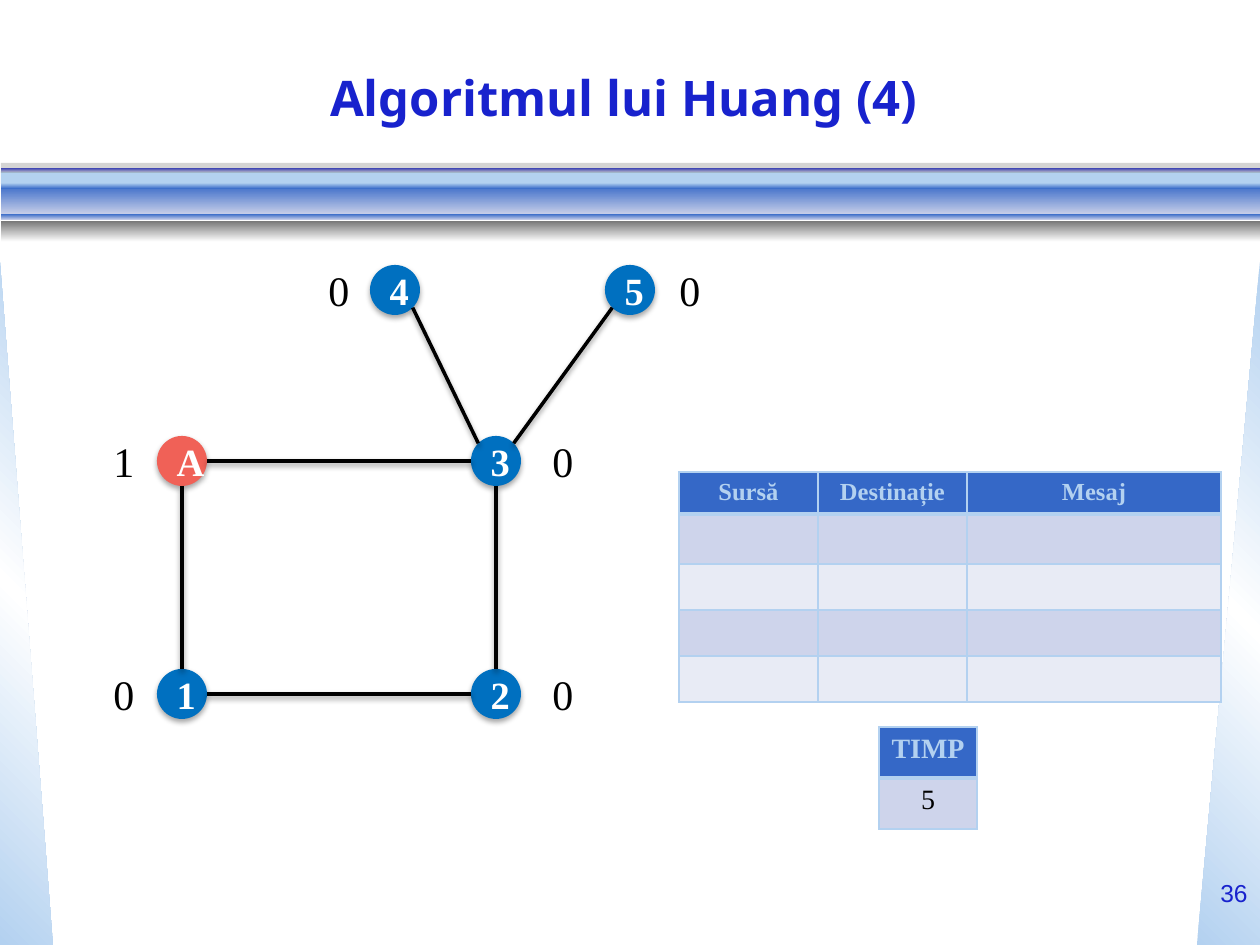
from copy import deepcopy
from math import hypot

from lxml import etree
from pptx import Presentation
from pptx import util as u
from pptx.dml.color import RGBColor
from pptx.enum import shapes, text
from pptx.oxml.ns import qn

PX = u.Inches(1) / 126
SERIF = "Times New Roman"
BLUE, PALE, NAVY, MIST = "3568C7", "B3D1F0", "1822CD", "CAD0E9"
BANDS = ["CED4EB", "E8EBF5"]
RADIUS = 25

# name: centre x, centre y, fill, label, label left
NODES = {
    "3": (496, 461, "0070C0", "0", 540),
    "1": (182, 694, "0070C0", "0", 101),
    "2": (496, 694, "0070C0", "0", 540),
    "4": (395, 290, "0070C0", "0", 316),
    "5": (630, 290, "0070C0", "0", 667),
    "A": (182, 461, "F06157", "1", 101),
}
EDGES = ["A3", "12", "A1", "32", "43", "53"]

# top, height, gradient from top to bottom
STRIPES = [
    (171, 13, [PALE]),
    (184, 31, [BLUE, MIST]),
    (168, 4, [NAVY, "BABBE7"]),
    (214, 6, [BLUE, MIST]),
    (183, 6, [PALE, BLUE]),
    (221, 21, ["777777", "FFFFFF"]),
    (163, 10, ["777777"]),
]


def px(*lengths):
    return [round(length * PX) for length in lengths]


def colour(value):
    return RGBColor.from_string(value)


def add_xml(parent, tag, **attributes):
    return etree.SubElement(parent, qn(tag), {k: str(v) for k, v in attributes.items()})


def style(para, size, hue, font=SERIF, bold=False, align=text.PP_ALIGN.CENTER):
    para.alignment = align
    para.font.size = u.Pt(size)
    para.font.name = font
    para.font.bold = bold
    para.font.color.rgb = colour(hue)


def paint(shape, hues, angle=90):
    """Fill with one colour or with evenly spaced gradient stops."""
    if len(hues) == 1:
        shape.fill.solid()
        shape.fill.fore_color.rgb = colour(hues[0])
        return
    shape.fill.gradient()
    shape.fill.gradient_angle = (360 - angle) % 360
    stop_list = shape._element.spPr.find(".//" + qn("a:gsLst"))
    for _ in hues[2:]:
        stop_list.append(deepcopy(stop_list[0]))
    for i, (stop, hue) in enumerate(zip(shape.fill.gradient_stops, hues)):
        stop.position = i / (len(hues) - 1)
        stop.color.rgb = colour(hue)


def add_shadow(shape, alpha, distance):
    effects = add_xml(shape._element.spPr, "a:effectLst")
    shadow = add_xml(effects, "a:outerShdw", blurRad=40000, dist=distance,
                     dir=5400000, rotWithShape=0)
    black = add_xml(shadow, "a:srgbClr", val="000000")
    add_xml(black, "a:alpha", val=alpha * 1000)


def add_block(page, kind, box, hues, angle=90, shadow=False):
    shape = page.shapes.add_shape(kind, *px(*box))
    paint(shape, hues, angle)
    shape.line.fill.background()
    if shadow:
        add_shadow(shape, 35, 23000)
    else:
        shape.shadow.inherit = False
    return shape


def add_text(page, box, words, size, hue, font=SERIF,
             align=text.PP_ALIGN.LEFT, wrap=True):
    frame = page.shapes.add_textbox(*px(*box)).text_frame
    frame.word_wrap = wrap
    frame.text = words
    style(frame.paragraphs[0], size, hue, font, align=align)


def add_backdrop(page):
    # Side wedges
    triangle = shapes.MSO_SHAPE.RIGHT_TRIANGLE
    add_block(page, triangle, (0, 262, 53, 683), [PALE, "FFFFFF", PALE], 315)
    right = add_block(page, triangle, (1197, 262, 63, 683), [PALE, "FFFFFF", PALE], 45)
    right._element.spPr.find(qn("a:xfrm")).set("flipH", "1")
    # Band under the title
    for top, height, hues in STRIPES:
        band = add_block(page, shapes.MSO_SHAPE.RECTANGLE, (1, top, 1259, height), hues)
    veil = band._element.spPr.find(".//" + qn("a:srgbClr"))
    add_xml(veil, "a:alpha", val=31000)


def add_title(page, words):
    title = page.shapes.title
    title.left, title.top, title.width, title.height = px(63, 63, 1134, 67)
    frame = title.text_frame
    frame.text = words
    frame.vertical_anchor = text.MSO_ANCHOR.MIDDLE
    frame.auto_size = text.MSO_AUTO_SIZE.NONE
    style(frame.paragraphs[0], 28, NAVY, "Noto Sans", True)


def add_node(page, name):
    x, y, hue, label, label_left = NODES[name]
    box = (x - RADIUS, y - RADIUS, 2 * RADIUS, 2 * RADIUS)
    node = add_block(page, shapes.MSO_SHAPE.OVAL, box, [hue], shadow=True)
    node.text_frame.text = name
    node.text_frame.vertical_anchor = text.MSO_ANCHOR.MIDDLE
    style(node.text_frame.paragraphs[0], 22, "FFFFFF", bold=True)
    add_text(page, (label_left, y - 32, 47, 63), label, 24, "000000", wrap=False)


def add_edge(page, start, end):
    """Join two nodes at the rim points that face each other."""
    (x1, y1), (x2, y2) = NODES[start][:2], NODES[end][:2]
    right, down = (x2 > x1) - (x2 < x1), (y2 > y1) - (y2 < y1)
    step = RADIUS / hypot(right, down)
    dx, dy = right * step, down * step
    edge = page.shapes.add_connector(shapes.MSO_CONNECTOR.STRAIGHT,
                                     *px(x1 + dx, y1 + dy, x2 - dx, y2 - dy))
    edge.line.color.rgb = colour("000000")
    edge.line.width = u.Pt(2)
    add_shadow(edge, 38, 20000)


def add_border(cell, side, points):
    line = add_xml(cell._tc.get_or_add_tcPr(), "a:ln" + side, w=u.Pt(points))
    add_xml(add_xml(line, "a:solidFill"), "a:srgbClr", val=PALE)


def add_grid(page, left, top, widths, heights, rows, size):
    table = page.shapes.add_table(len(heights), len(widths), *px(
        left, top, sum(widths), sum(heights))).table
    table.first_row = table.horz_banding = False
    for column, width in zip(table.columns, px(*widths)):
        column.width = width
    for r, height in enumerate(px(*heights)):
        table.rows[r].height = height
        for c in range(len(widths)):
            cell = table.cell(r, c)
            cell.margin_left, cell.margin_right = px(4, 4)
            cell.text = rows[r][c] if r < len(rows) else ""
            style(cell.text_frame.paragraphs[0], size,
                  "000000" if r else PALE, bold=r == 0)
            for side, points in zip("LRTB", (1, 1, 3 if r == 1 else 1, 1 if r else 3)):
                add_border(cell, side, points)
            cell.fill.solid()
            cell.fill.fore_color.rgb = colour(BANDS[(r - 1) % 2] if r else BLUE)


def main():
    deck = Presentation()
    deck.slide_width, deck.slide_height = px(1260, 945)
    page = deck.slides.add_slide(deck.slide_layouts[5])
    add_backdrop(page)
    add_title(page, "Algoritmul lui Huang (4) ")
    # Process graph
    for name in NODES:
        add_node(page, name)
    for start, end in EDGES:
        add_edge(page, start, end)
    # Message log and clock
    add_grid(page, 679, 472, [139, 149, 254], [40, 50, 46, 46, 46],
             [["Sursă", "Destinație", "Mesaj"]], 14)
    add_grid(page, 879, 727, [98], [51, 51], [["TIMP"], ["5"]], 16)
    # Page number
    add_text(page, (1197, 872, 63, 73), "36", 14, NAVY, "Arial", text.PP_ALIGN.RIGHT)
    deck.save("out.pptx")


if __name__ == "__main__":
    main()
